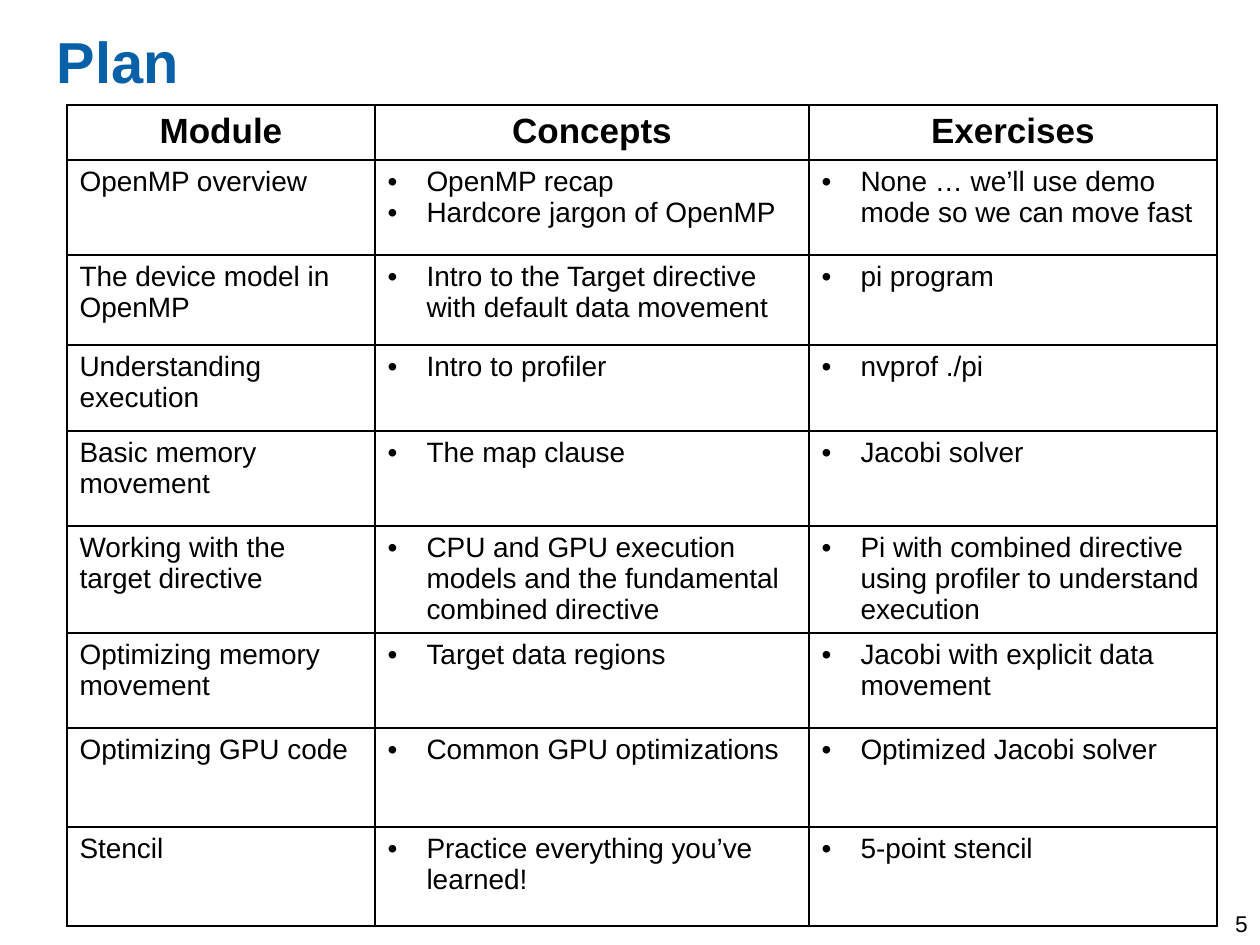
import pptx
import pptx.util
import pptx.dml.color
import pptx.enum.text
import pptx.oxml
import pptx.oxml.ns

PX = 914400 // 126
INK = {"text": "000000", "title": "0860A8", "line": "000000"}
ALIGN = pptx.enum.text.PP_ALIGN
HEADS = ["Module", "Concepts", "Exercises"]
PLAN = [
    ("OpenMP overview", ["OpenMP recap", "Hardcore jargon of OpenMP"],
     ["None … we’ll use demo mode so we can move fast"]),
    ("The device model in OpenMP",
     ["Intro to the Target directive with default data movement"], ["pi program"]),
    ("Understanding execution", ["Intro to profiler"], ["nvprof ./pi"]),
    ("Basic memory movement", ["The map clause"], ["Jacobi solver"]),
    ("Working with the target directive",
     ["CPU and GPU execution models and the fundamental combined directive"],
     ["Pi with combined directive using profiler to understand execution"]),
    ("Optimizing memory movement", ["Target data regions"],
     ["Jacobi with explicit data movement"]),
    ("Optimizing GPU code", ["Common GPU optimizations"], ["Optimized Jacobi solver"]),
    ("Stencil", ["Practice everything you’ve learned!"], ["5-point stencil"]),
]


def emu(px):
    return pptx.util.Emu(px * PX)


def node(tag, body="", **attrs):
    text = "".join(f' {key}="{val}"' for key, val in attrs.items())
    space = pptx.oxml.ns.nsdecls("a")
    return pptx.oxml.parse_xml(f"<a:{tag} {space}{text}>{body}</a:{tag}>")


class Deck:
    font = "Arial"

    def __init__(self, wide, high):
        self.file = pptx.Presentation()
        self.file.slide_width = emu(wide)
        self.file.slide_height = emu(high)
        self.slide = self.file.slides.add_slide(self.file.slide_layouts[6])

    def style(self, para, size, ink="text", bold=False, align=ALIGN.LEFT):
        para.alignment = align
        para.font.name = self.font
        para.font.size = pptx.util.Pt(size)
        para.font.bold = bold
        para.font.color.rgb = pptx.dml.color.RGBColor.from_string(INK[ink])

    def text(self, box, words, size, pad=None, **look):
        frame = self.slide.shapes.add_textbox(*map(emu, box)).text_frame
        frame.word_wrap = True
        if pad is not None:
            frame.margin_left = frame.margin_right = emu(pad)
            frame.margin_top = frame.margin_bottom = emu(pad)
        para = frame.paragraphs[0]
        para.text = words
        self.style(para, size, **look)

    def bullet(self, para, dent=39):
        props = para._p.get_or_add_pPr()
        props.set("marL", str(emu(dent)))
        props.set("indent", str(emu(-dent)))
        props.append(node("buFont", typeface=self.font))
        props.append(node("buChar", char="•"))

    def edge(self, cell):
        props = cell._tc.get_or_add_tcPr()
        fill = f'<a:solidFill><a:srgbClr val="{INK["line"]}"/></a:solidFill>'
        for spot, side in enumerate(("lnL", "lnR", "lnT", "lnB")):
            props.insert(spot, node(side, fill, w=pptx.util.Pt(1)))

    def cell(self, cell, item, size, **look):
        cell.fill.background()
        cell.margin_bottom = 0
        self.edge(cell)
        lines = [item] if isinstance(item, str) else item
        frame = cell.text_frame
        for spot, line in enumerate(lines):
            para = frame.add_paragraph() if spot else frame.paragraphs[0]
            para.text = line
            if item is lines:
                self.bullet(para)
            self.style(para, size, **look)

    def table(self, left, top, cols, rows, heads, data):
        box = map(emu, (left, top, sum(cols), sum(rows)))
        grid = self.slide.shapes.add_table(len(rows), len(cols), *box).table
        grid.first_row = grid.horz_banding = False
        for col, wide in zip(grid.columns, cols):
            col.width = emu(wide)
        for row, high in zip(grid.rows, rows):
            row.height = emu(high)
        for c, head in enumerate(heads):
            self.cell(grid.cell(0, c), head, 20, bold=True, align=ALIGN.CENTER)
        for r, line in enumerate(data, 1):
            for c, item in enumerate(line):
                self.cell(grid.cell(r, c), item, 16)


def main():
    deck = Deck(1260, 945)
    deck.text((1155, 904, 105, 41), "5", 13, align=ALIGN.RIGHT)
    deck.text((57, 26, 1170, 158), "Plan", 33, pad=0, ink="title", bold=True)
    deck.table(67, 105, [308, 434, 408],
               [55, 95, 90, 86, 95, 95, 95, 99, 99], HEADS, PLAN)
    deck.file.save("out.pptx")


if __name__ == "__main__":
    main()
